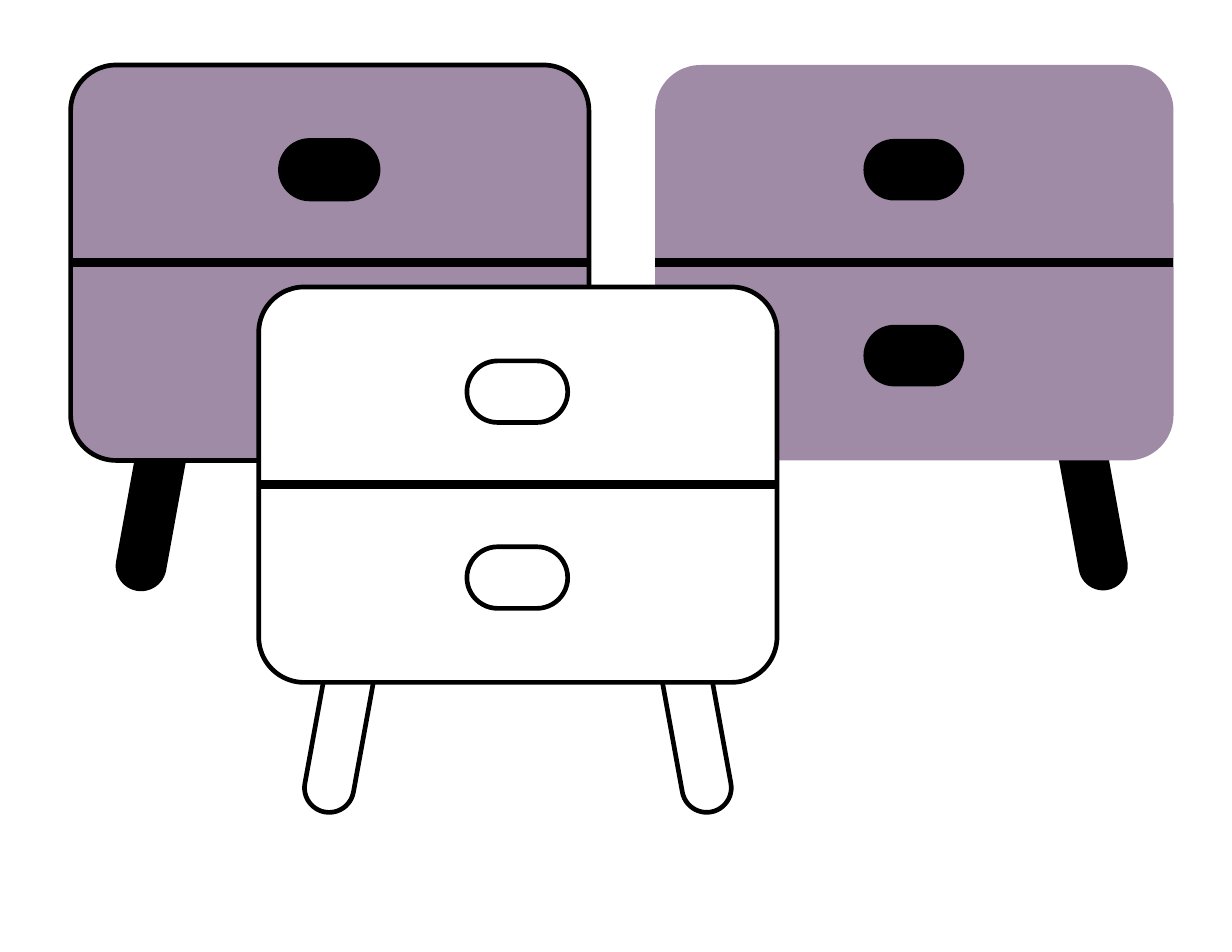
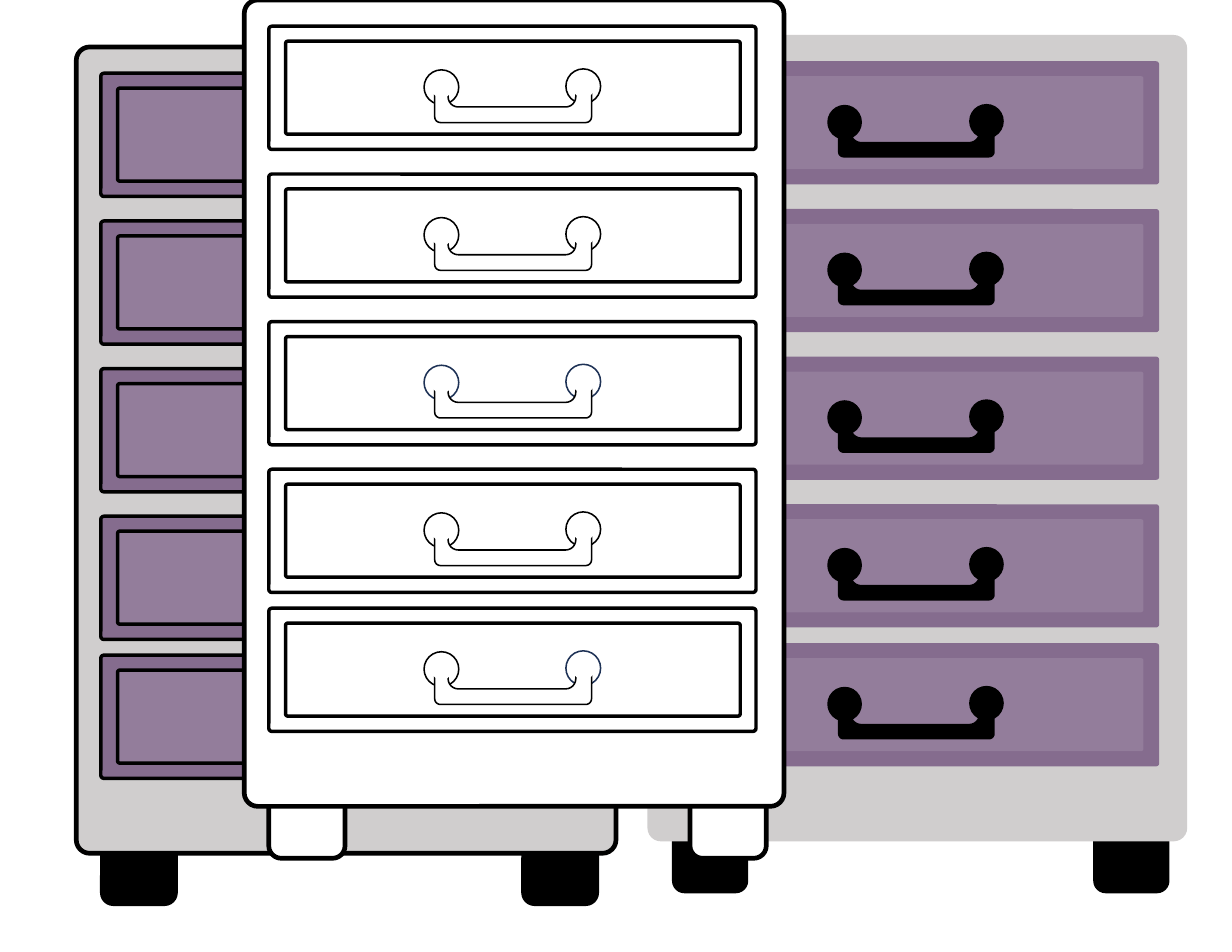
import math

from lxml import etree
from pptx import Presentation
from pptx import util as u
from pptx.dml import color
from pptx.enum import shapes as kinds
from pptx.oxml import ns

BLACK, WHITE, NAVY = "000000", "FFFFFF", "1E3256"
MAUVE, PLUM, GREY = "A08BA7", "856C8E", "D0CECE"
DRAWER_TOPS = (16.9, 111.9, 206.8, 301.7, 391)


def rgb(value):
    return color.RGBColor.from_string(value)


def arc(center_x, center_y, radius, start, end, steps=6):
    angles = [math.radians(start + (end - start) * step / steps) for step in range(steps + 1)]
    return [(center_x + radius * math.cos(angle), center_y + radius * math.sin(angle)) for angle in angles]


def handle_outline():
    inner = [(8.6, 0)] + arc(15.1, 10.1, 6.5, 180, 90) + arc(84.2, 10.1, 6.5, 90, 0) + [(90.7, 0)]
    outer = arc(97.2, 3.6, 3.6, -90, 0) + arc(97.2, 23, 3.6, 0, 90)
    return inner + outer + arc(3.6, 23, 3.6, 90, 180) + arc(3.6, 3.6, 3.6, 180, 270)


class Furniture:
    """Draws cabinets on the current slide, one group for each."""

    def __init__(self):
        self.presentation = Presentation()
        page = {"slide_width": u.Pt(792), "slide_height": u.Pt(612)}
        for name, value in page.items():
            setattr(self.presentation, name, value)

    def new_slide(self):
        self.slide = self.presentation.slides.add_slide(self.presentation.slide_layouts[6])

    def new_group(self, left, top):
        self.group = self.slide.shapes.add_group_shape()
        self.left, self.top = left, top

    def paint(self, shape, fill, weight, line=BLACK, alpha=None):
        shape.shadow.inherit = False
        shape.fill.solid()
        shape.fill.fore_color.rgb = rgb(fill)
        if alpha:
            fill_color = shape.fill._xPr.find(".//" + ns.qn("a:srgbClr"))
            etree.SubElement(fill_color, ns.qn("a:alpha"), val=str(alpha * 1000))
        if weight:
            shape.line.color.rgb = rgb(line)
            shape.line.width = u.Pt(weight)
        else:
            shape.line.fill.background()

    def preset(self, kind, box, fill, weight=0, radius=None, rotation=0, **paint):
        x, y, width, height = box
        lengths = (self.left + x, self.top + y, width, height)
        shape = self.group.shapes.add_shape(kind, *map(u.Pt, lengths))
        if radius is not None:
            shape.adjustments[0] = radius
        shape.rotation = rotation
        self.paint(shape, fill, weight, **paint)

    def panel(self, box, fill, weight=0, radius=0.025, **options):
        self.preset(kinds.MSO_SHAPE.ROUNDED_RECTANGLE, box, fill, weight, radius, **options)

    def disc(self, x, y, size, fill, weight=0, **paint):
        self.preset(kinds.MSO_SHAPE.OVAL, (x, y, size, size), fill, weight, **paint)

    def divider(self, y, width):
        ends = (self.left, self.top + y, self.left + width, self.top + y)
        connector = self.group.shapes.add_connector(kinds.MSO_CONNECTOR.STRAIGHT, *map(u.Pt, ends))
        connector.line.color.rgb = rgb(BLACK)
        connector.line.width = u.Pt(6)
        etree.SubElement(connector._element.spPr, ns.qn("a:effectLst"))

    def grip(self, x, y, fill, weight):
        points = [(u.Pt(self.left + x + dx), u.Pt(self.top + y + dy)) for dx, dy in handle_outline()]
        builder = self.group.shapes.build_freeform(*points[0])
        builder.add_line_segments(points[1:], close=True)
        self.paint(builder.convert_to_shape(), fill, weight)

    def nightstand(self, left, top, body, trim, body_line, trim_line, legs=2, knobs=2):
        self.new_group(left, top)
        for x, rotation in ((-3.6, 280.3), (224.6, 79.7))[:legs]:
            self.panel((x, 266.4, 112.3, 31.7), trim, trim_line, 0.5, rotation=rotation)
        self.panel((0, 0, 333.2, 254.2), body, body_line, 0.115)
        self.divider(127, 333.2)
        for y in (47.5, 167)[:knobs]:
            self.panel((133.9, y, 64.8, 39.6), trim, trim_line, 0.5)

    def dresser(self, left, top, body, frame, inset, trim, lines, alpha=None, handles=True):
        body_line, drawer_line, foot_line, handle_line = lines
        self.new_group(left, top)
        for x in (15.8, 286.6):
            self.panel((x, 503.6, 49, 48.2), trim, foot_line, 0.167)
        self.panel((0, 0, 347, 518.4), body, body_line)
        for row, y in enumerate(DRAWER_TOPS):
            self.panel((15.8, y, 313.2, 79.2), frame, drawer_line)
            self.panel((26.6, y + 9.6, 292.3, 59.8), inset, drawer_line, alpha=alpha)
            if handles:
                for x, dy, navy_rows in ((206.8, 27.4, (2, 4)), (115.6, 28, (2,))):
                    line = NAVY if row in navy_rows else BLACK
                    self.disc(x, y + dy, 22.3, trim, handle_line, line=line)
                self.grip(122.5, y + 35.3, trim, handle_line)
        if handle_line:
            for y in DRAWER_TOPS:
                for x in (210.6, 119.4):
                    self.disc(x, y + 30.7, 15.1, trim)


def main():
    furniture = Furniture()

    furniture.new_slide()
    furniture.nightstand(45.4, 41.8, MAUVE, BLACK, 3, 1, legs=1, knobs=1)
    furniture.nightstand(421.2, 41.8, MAUVE, BLACK, 0, 0)
    furniture.nightstand(166.3, 184.5, WHITE, WHITE, 3, 3)

    furniture.new_slide()
    furniture.dresser(49, 30.2, GREY, PLUM, MAUVE, BLACK, (3, 2.25, 1, 0), alpha=55, handles=False)
    furniture.dresser(416.2, 22.5, GREY, PLUM, MAUVE, BLACK, (0, 0, 0, 0), alpha=55)
    furniture.dresser(157, 0, WHITE, WHITE, WHITE, WHITE, (3, 2.25, 3, 1))

    furniture.presentation.save("out.pptx")


if __name__ == "__main__":
    main()
